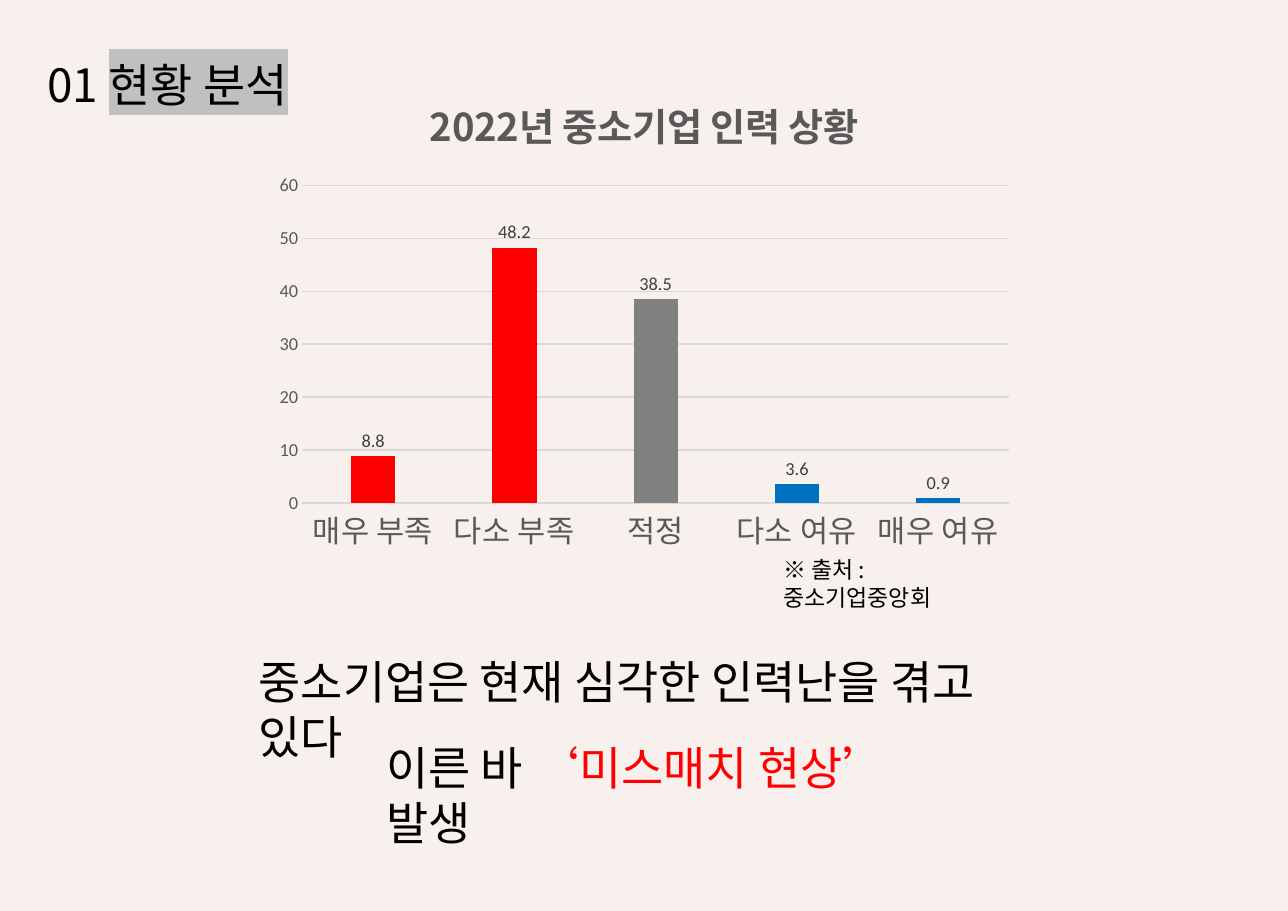
from dataclasses import dataclass
from typing import Optional

import pptx
import pptx.chart.data
import pptx.dml.color
import pptx.enum.chart
import pptx.enum.text
import pptx.oxml
import pptx.oxml.ns
import pptx.util

KOREAN = "Noto Sans CJK KR"
LATIN = "Calibri"
BLACK, RED, GRAY, BLUE = "000000", "FF0000", "808080", "0070C0"
TEXT_GRAY, LABEL_GRAY, GRID_GRAY = "595959", "404040", "D9D9D9"
NAMESPACES = pptx.oxml.ns.nsdecls("a", "c")


@dataclass
class Phrase:
    text: str
    color: str = BLACK
    highlight: Optional[str] = None


@dataclass
class Box:
    left: float
    top: float
    width: float
    height: float
    size: float
    phrases: list[Phrase]


@dataclass
class Answer:
    category: str
    share: float
    color: str


TITLE = Box(0.84, 1.17, 9.32, 1.55, 30, [Phrase("01 "), Phrase("현황 분석", highlight="C0C0C0")])
MESSAGES = [
    Box(5.72, 14.94, 18.29, 1.55, 30, [Phrase("중소기업은 현재 심각한 인력난을 겪고 있다")]),
    Box(8.66, 16.94, 12.37, 1.55, 30,
        [Phrase("이른 바 "), Phrase("‘미스매치 현상’ ", RED), Phrase("발생")]),
    Box(17.83, 12.7, 5.38, 0.89, 15, [Phrase("※ 출처 : 중소기업중앙회")]),
]
ANSWERS = [
    Answer("매우 부족", 8.8, RED),
    Answer("다소 부족", 48.2, RED),
    Answer("적정", 38.5, GRAY),
    Answer("다소 여유", 3.6, BLUE),
    Answer("매우 여유", 0.9, BLUE),
]


def rgb(color: str) -> pptx.dml.color.RGBColor:
    return pptx.dml.color.RGBColor.from_string(color)


def format_font(font, size: float, color: str, name: str = KOREAN) -> None:
    font.size = pptx.util.Pt(size)
    font.color.rgb = rgb(color)
    font.name = name


def add_east_asian_fonts(element) -> None:
    """Give Korean letters the same typeface as the Latin ones."""
    for latin in list(element.iter(pptx.oxml.ns.qn("a:latin"))):
        typeface = latin.get("typeface")
        latin.addnext(pptx.oxml.parse_xml(f'<a:ea {NAMESPACES} typeface="{typeface}"/>'))


def add_text(paragraph, text: str, *, size: float, color: str = BLACK,
             highlight: Optional[str] = None) -> None:
    run = paragraph.add_run()
    run.text = text
    format_font(run.font, size, color)
    if highlight:
        latin = run._r.find(".//" + pptx.oxml.ns.qn("a:latin"))
        latin.addprevious(pptx.oxml.parse_xml(
            f'<a:highlight {NAMESPACES}><a:srgbClr val="{highlight}"/></a:highlight>'))


def fill_box(shape, box: Box) -> None:
    shape.left, shape.top = pptx.util.Cm(box.left), pptx.util.Cm(box.top)
    shape.width, shape.height = pptx.util.Cm(box.width), pptx.util.Cm(box.height)
    frame = shape.text_frame
    frame.word_wrap = True
    frame.auto_size = pptx.enum.text.MSO_AUTO_SIZE.NONE
    frame.vertical_anchor = pptx.enum.text.MSO_ANCHOR.TOP
    paragraph = frame.paragraphs[0]
    paragraph.alignment = pptx.enum.text.PP_ALIGN.LEFT
    for phrase in box.phrases:
        add_text(paragraph, phrase.text, size=box.size, color=phrase.color,
                 highlight=phrase.highlight)
    add_east_asian_fonts(shape.element)


def clear_chart_background(chart) -> None:
    no_fill = f"<c:spPr {NAMESPACES}><a:noFill/><a:ln><a:noFill/></a:ln></c:spPr>"
    chart_space = chart._chartSpace
    chart_space.find(pptx.oxml.ns.qn("c:txPr")).addprevious(pptx.oxml.parse_xml(no_fill))
    plot_area = chart_space.find(".//" + pptx.oxml.ns.qn("c:plotArea"))
    plot_area.append(pptx.oxml.parse_xml(no_fill))


def format_line(line, color: str) -> None:
    line.color.rgb = rgb(color)
    line.width = pptx.util.Pt(0.75)


def add_staffing_chart(slide) -> None:
    data = pptx.chart.data.CategoryChartData()
    data.categories = [answer.category for answer in ANSWERS]
    data.add_series("Series 1", [answer.share for answer in ANSWERS])
    chart = slide.shapes.add_chart(
        pptx.enum.chart.XL_CHART_TYPE.COLUMN_CLUSTERED, pptx.util.Cm(6.1), pptx.util.Cm(1.63),
        pptx.util.Cm(17.53), pptx.util.Cm(11.33), data).chart
    format_font(chart.font, 10, BLACK, LATIN)
    chart.has_legend = False

    # Chart title
    chart.has_title = True
    chart.chart_title.include_in_layout = False
    add_text(chart.chart_title.text_frame.paragraphs[0], "2022년 중소기업 인력 상황",
             size=25, color=TEXT_GRAY)

    # Axes
    category_axis, value_axis = chart.category_axis, chart.value_axis
    for axis in (category_axis, value_axis):
        axis.major_tick_mark = pptx.enum.chart.XL_TICK_MARK.NONE
        axis.minor_tick_mark = pptx.enum.chart.XL_TICK_MARK.NONE
    format_font(category_axis.tick_labels.font, 20, TEXT_GRAY)
    format_line(category_axis.format.line, GRID_GRAY)
    format_font(value_axis.tick_labels.font, 12, TEXT_GRAY, LATIN)
    value_axis.format.line.fill.background()
    value_axis.minimum_scale, value_axis.maximum_scale, value_axis.major_unit = 0, 60, 10
    format_line(value_axis.major_gridlines.format.line, GRID_GRAY)

    # Columns and their values
    plot = chart.plots[0]
    plot.vary_by_categories = False
    plot.gap_width, plot.overlap = 219, -27
    series = plot.series[0]
    series.format.fill.solid()
    series.format.fill.fore_color.rgb = rgb(RED)
    for index, answer in enumerate(ANSWERS):
        if answer.color != RED:
            fill = series.points[index].format.fill
            fill.solid()
            fill.fore_color.rgb = rgb(answer.color)
    labels = series.data_labels
    labels.show_value = True
    labels.position = pptx.enum.chart.XL_LABEL_POSITION.OUTSIDE_END
    format_font(labels.font, 12, LABEL_GRAY, LATIN)

    clear_chart_background(chart)
    add_east_asian_fonts(chart._chartSpace)


def main() -> None:
    presentation = pptx.Presentation()
    presentation.slide_width = pptx.util.Cm(29.72)
    presentation.slide_height = pptx.util.Cm(21.01)
    slide = presentation.slides.add_slide(presentation.slide_layouts.get_by_name("Title Only"))
    slide.background.fill.solid()
    slide.background.fill.fore_color.rgb = rgb("F7F0ED")

    fill_box(slide.shapes.title, TITLE)
    add_staffing_chart(slide)
    for message in MESSAGES:
        fill_box(slide.shapes.add_textbox(0, 0, 0, 0), message)

    presentation.save("out.pptx")


if __name__ == "__main__":
    main()
